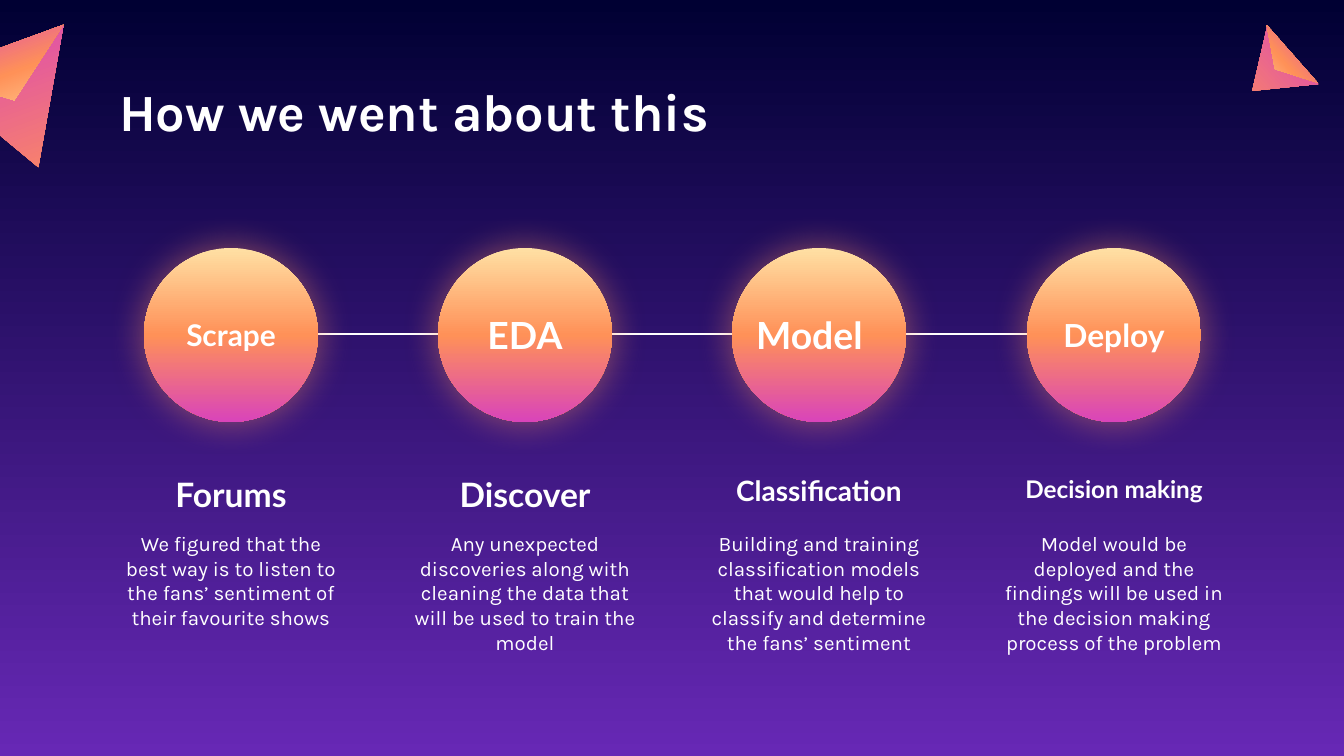
from copy import deepcopy
from dataclasses import dataclass

from lxml.etree import SubElement
from pptx import Presentation
from pptx.dml.color import RGBColor
from pptx.enum.shapes import MSO_CONNECTOR, MSO_SHAPE
from pptx.enum.text import MSO_ANCHOR, MSO_AUTO_SIZE, PP_ALIGN
from pptx.oxml.ns import qn
from pptx.util import Emu, Pt


@dataclass(frozen=True)
class Theme:
    text: str = "FFFFFF"
    night: tuple = ("000033", "6728B5")
    dusk: tuple = ("FF9158", "D944BA")
    sunset: tuple = ("FFE0A4", "FF9158", "D944BA")
    glow: str = "FF9158"
    display: str = "Karla"
    heading: str = "Lato"
    title_size: int = 28
    body_size: int = 11


THEME = Theme()
EMU_PER_PX = 914400 / 134.4
FIRST_CENTRE, SPAN = 231, 883
INSET = 13

STEPS = [
    ("Scrape", 16, PP_ALIGN.CENTER, "Forums", 18,
     "We figured that the best way is to listen to the fans’ sentiment of their favourite shows"),
    ("EDA", 20, PP_ALIGN.CENTER, "Discover", 18,
     "Any unexpected discoveries along with cleaning the data that will be used to train the model"),
    ("Model", 20, PP_ALIGN.LEFT, "Classification", 15,
     "Building and training classification models that would help to classify and determine "
     "the fans’ sentiment"),
    ("Deploy", 17, PP_ALIGN.CENTER, "Decision making", 13,
     "Model would be deployed and the findings will be used in the decision making process "
     "of the problem"),
]

TRIANGLES = [
    ((-55, 47, 144, 124), 159.9, THEME.dusk),
    ((-67, 48, 144, 54), 159.9, THEME.sunset),
    ((1234, 46, 77, 54), 228.6, THEME.dusk),
    ((1245, 50, 77, 23), 228.6, THEME.sunset),
]


def px(n):
    return Emu(round(n * EMU_PER_PX))


def set_attrs(obj, **values):
    for name, value in values.items():
        setattr(obj, name, value)


def fill_gradient(fill, element, colors):
    fill.gradient()
    fill.gradient_angle = 270
    stops = element.find(".//" + qn("a:gsLst"))
    while len(stops) < len(colors):
        stops.append(deepcopy(stops[0]))
    for i, (stop, color) in enumerate(zip(fill.gradient_stops, colors)):
        stop.position = i / (len(colors) - 1)
        stop.color.rgb = RGBColor.from_string(color)


def add_gradient_shape(slide, kind, box, colors, rotation=0):
    sp = slide.shapes.add_shape(kind, *map(px, box))
    set_attrs(sp, rotation=rotation)
    sp.shadow.inherit = False
    sp.line.fill.background()
    fill_gradient(sp.fill, sp._element, colors)
    return sp


def add_glow(sp):
    effects = sp._element.spPr.find(qn("a:effectLst"))
    shadow = SubElement(effects, qn("a:outerShdw"), blurRad=str(Pt(20.25)),
                        dist="0", dir="0", algn="ctr", rotWithShape="0")
    color = SubElement(shadow, qn("a:srgbClr"), val=THEME.glow)
    SubElement(color, qn("a:alpha"), val="50000")


def write_text(sp, text, size, font, bold=False, align=PP_ALIGN.CENTER, anchor=MSO_ANCHOR.TOP):
    tf = sp.text_frame
    set_attrs(tf, word_wrap=True, auto_size=MSO_AUTO_SIZE.NONE, vertical_anchor=anchor,
              margin_left=px(INSET), margin_right=px(INSET),
              margin_top=px(INSET), margin_bottom=px(INSET))
    p = tf.paragraphs[0]
    p.alignment = align
    r = p.add_run()
    r.text = text
    set_attrs(r.font, size=Pt(size), name=font, bold=bold)
    r.font.color.rgb = RGBColor.from_string(THEME.text)


def add_text(slide, box, text, size, font, **style):
    write_text(slide.shapes.add_textbox(*map(px, box)), text, size, font, **style)


def add_title(slide, text):
    title = slide.shapes.title
    set_attrs(title, left=px(106), top=px(66), width=px(1132), height=px(85))
    write_text(title, text, THEME.title_size, THEME.display, bold=True, align=PP_ALIGN.LEFT)


def add_timeline(slide):
    line = slide.shapes.add_connector(MSO_CONNECTOR.STRAIGHT, px(235), px(334), px(1109), px(334))
    line.line.width = Pt(1.5)
    line.line.color.rgb = RGBColor.from_string(THEME.text)
    SubElement(line._element.spPr, qn("a:effectLst"))


def add_step(slide, centre, step):
    label, label_size, align, heading, heading_size, body = step
    circle = add_gradient_shape(slide, MSO_SHAPE.OVAL, (centre - 87, 248, 174, 174), THEME.sunset)
    add_glow(circle)
    add_text(slide, (centre - 76, 305, 152, 59), label, label_size, THEME.heading,
             bold=True, align=align, anchor=MSO_ANCHOR.MIDDLE)
    add_text(slide, (centre - 125, 461, 250, 59), heading, heading_size, THEME.heading, bold=True)
    add_text(slide, (centre - 125, 518, 250, 138), body, THEME.body_size, THEME.display)


def main():
    prs = Presentation()
    set_attrs(prs, slide_width=px(1344), slide_height=px(756))
    slide = prs.slides.add_slide(prs.slide_layouts[5])
    fill_gradient(slide.background.fill, slide._element, THEME.night)
    for box, rotation, colors in TRIANGLES:
        add_gradient_shape(slide, MSO_SHAPE.ISOSCELES_TRIANGLE, box, colors, rotation)
    add_title(slide, "How we went about this")
    add_timeline(slide)
    for i, step in enumerate(STEPS):
        add_step(slide, FIRST_CENTRE + i * SPAN // 3, step)
    prs.save("out.pptx")


if __name__ == "__main__":
    main()
